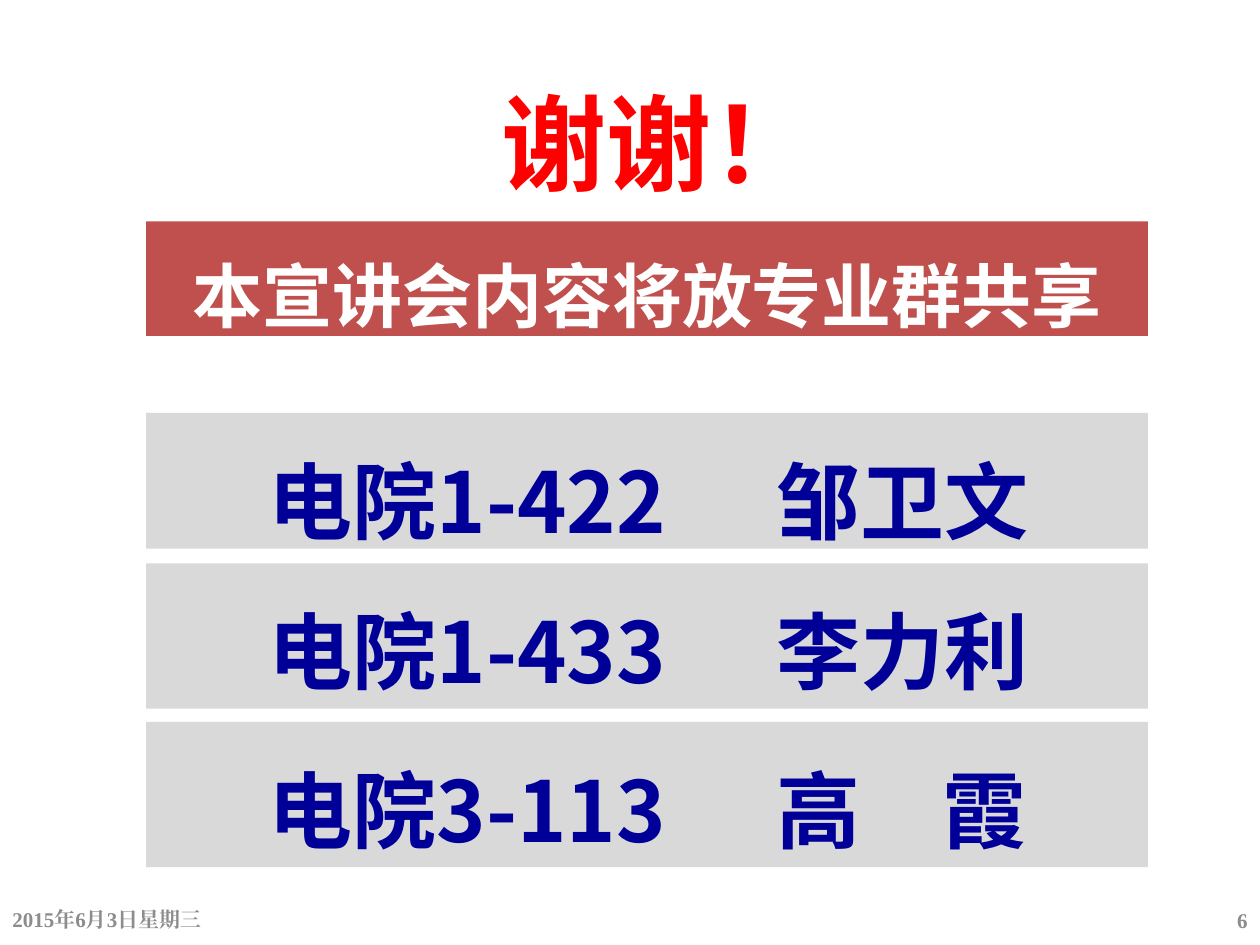
from lxml.etree import SubElement
from pptx import Presentation
from pptx.dml.color import RGBColor
from pptx.enum.shapes import MSO_SHAPE
from pptx.enum.text import MSO_ANCHOR, PP_ALIGN
from pptx.oxml.ns import qn
from pptx.util import Pt

SANS, SERIF = "Noto Sans CJK JP", "Times New Roman"


def rgb(value):
    """Return the colour for a hex string."""
    return RGBColor.from_string(value)


def place(sp, box):
    """Move and size a shape to a box in points."""
    sp.left, sp.top, sp.width, sp.height = map(Pt, box)


def write(sp, text, size, color, font=SANS, align=PP_ALIGN.CENTER,
          anchor=MSO_ANCHOR.TOP, spacing=1.3):
    """Write one formatted bold paragraph and return it."""
    tf = sp.text_frame
    tf.text = text
    tf.word_wrap = True
    tf.vertical_anchor = anchor
    p = tf.paragraphs[0]
    p.alignment, p.line_spacing = align, spacing
    for r in p.runs:
        r.font.size, r.font.bold, r.font.name = Pt(size), True, font
        r.font.color.rgb = rgb(color)
        SubElement(r.font._element, qn("a:ea")).set("typeface", font)
    return p


def add_bar(s, box, fill):
    """Add a plain filled bar."""
    sp = s.shapes.add_shape(MSO_SHAPE.RECTANGLE, *map(Pt, box))
    sp.shadow.inherit = False
    sp.fill.solid()
    sp.fill.fore_color.rgb = rgb(fill)
    sp.line.fill.background()
    return sp


def add_contact(s, box, text):
    """Add a contact bar with the room and name set on tab stops."""
    sp = add_bar(s, box, "D9D9D9")
    p = write(sp, text, 48, "000099", align=PP_ALIGN.LEFT)
    sp.text_frame.margin_left = Pt(70)
    tabs = SubElement(p._p.get_or_add_pPr(), qn("a:tabLst"))
    for pos in (290, 385):
        SubElement(tabs, qn("a:tab"), pos=str(Pt(pos)), algn="l")


def add_footer(s, box, text, align):
    """Add a grey footer text."""
    sp = s.shapes.add_textbox(*map(Pt, box))
    write(sp, text, 12, "8C8C8C", SERIF, align, MSO_ANCHOR.MIDDLE, 1.0)


def build_closing(s, left, width):
    """Build the thanks slide around one column of bars."""
    title = s.shapes.title
    place(title, (left + 7, 19.5, width, 95))
    write(title, "谢谢！", 60, "FF0000")
    notice = add_bar(s, (left, 126.5, width, 65.5), "C0504D")
    write(notice, "本宣讲会内容将放专业群共享", 40, "FFFFFF")
    contacts = [(236, 77.5, "电院1-422\t邹卫文"),
                (322, 83, "电院1-433\t李力利"),
                (412.5, 83, "电院3-113\t高\t霞")]
    for top, height, text in contacts:
        add_contact(s, (left, top, width, height), text)
    add_footer(s, (0, 510.5, 168, 29), "2015年6月3日星期三", PP_ALIGN.LEFT)
    add_footer(s, (552, 511, 168, 29), "6", PP_ALIGN.RIGHT)


prs = Presentation()
prs.slide_width, prs.slide_height = Pt(720), Pt(540)
build_closing(prs.slides.add_slide(prs.slide_layouts[5]), 83.5, 572.5)
prs.save("out.pptx")
